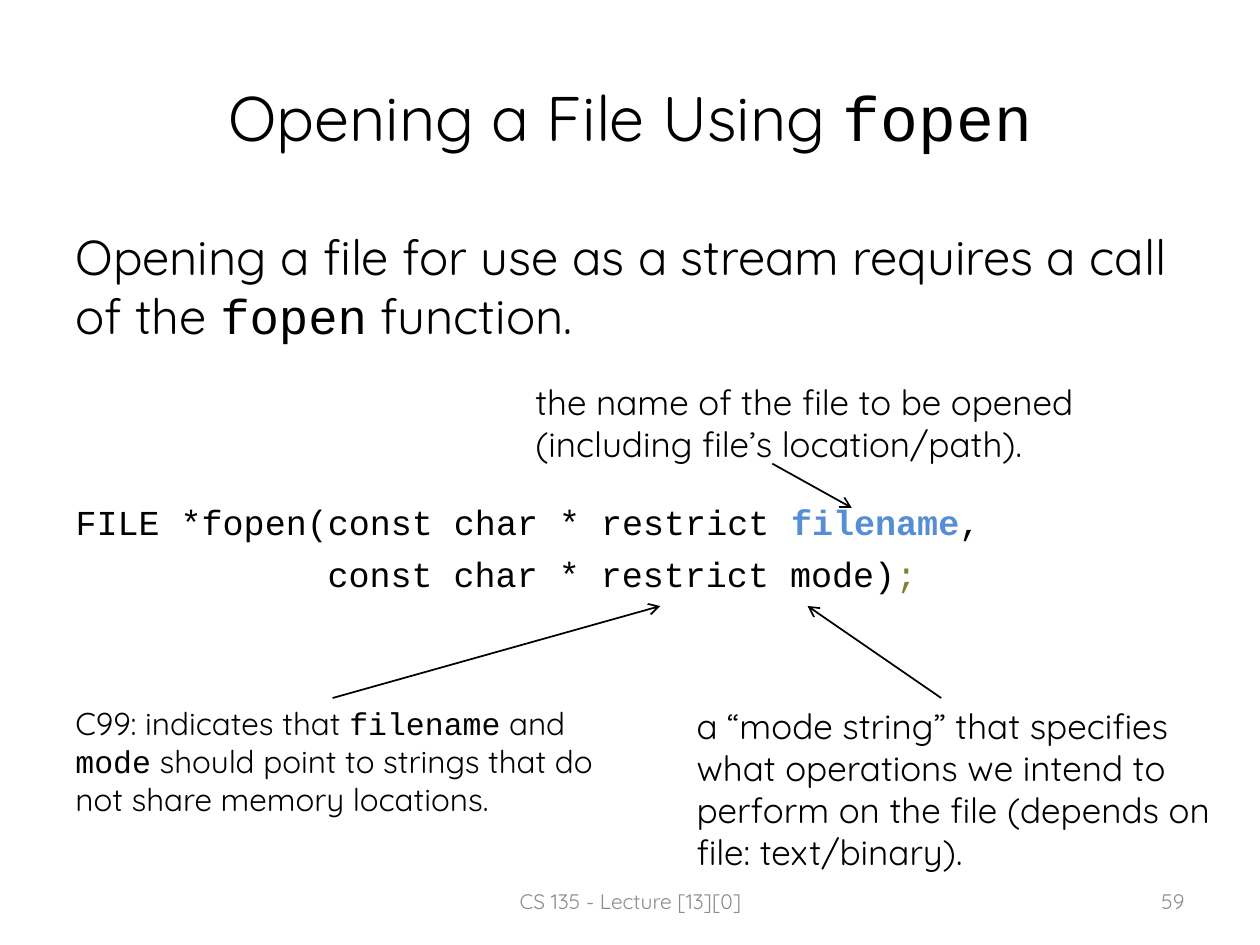
from dataclasses import dataclass

from lxml.etree import SubElement
from pptx import Presentation
from pptx.dml.color import RGBColor
from pptx.enum.shapes import MSO_CONNECTOR
from pptx.enum.text import MSO_ANCHOR, MSO_AUTO_SIZE, PP_ALIGN
from pptx.oxml.ns import qn
from pptx.util import Inches, Pt

BLACK = RGBColor(0x00, 0x00, 0x00)
GRAY = RGBColor(0x8C, 0x8C, 0x8C)
BLUE = RGBColor(0x55, 0x8E, 0xD5)
OLIVE = RGBColor(0x80, 0x80, 0x2F)
TEXT_FONT = "Quicksand"
CODE_FONT = "Courier New"
MARGIN = 0.5
NOTE_TOP = 5.54
FOOTER_TOP = 6.95


@dataclass
class Span:
    text: str
    font: str = TEXT_FONT
    color: RGBColor = BLACK
    bold: bool = False


def code(text: str, color: RGBColor = BLACK, bold: bool = False) -> Span:
    return Span(text, CODE_FONT, color, bold)


@dataclass
class TextBlock:
    left: float
    top: float
    width: float
    height: float
    size: int
    spans: list[Span]
    alignment: PP_ALIGN = PP_ALIGN.LEFT
    anchor: MSO_ANCHOR = MSO_ANCHOR.TOP


@dataclass
class Arrow:
    start: tuple[float, float]
    end: tuple[float, float]


@dataclass
class BodyLine:
    size: int
    spans: list[Span]
    space_before: float = 0
    indent: float = 0


TITLE = [Span("Opening a File Using "), code("fopen")]
BODY = [
    BodyLine(28, [Span("Opening a file for use as a stream requires a call of the "),
                  code("fopen"), Span(" function.")]),
    BodyLine(20, [code("FILE *fopen(const char * restrict "),
                  code("filename", BLUE, True), code(",")], space_before=89),
    BodyLine(20, [code("const char * restrict mode)"), code(";", OLIVE)],
             space_before=5.6, indent=2),
]
TEXT_BLOCKS = [
    TextBlock(4.15, 2.97, 5.2, 0.77, 20, [
        Span("the name of the file to be opened (including file’s location/path).")]),
    TextBlock(5.43, NOTE_TOP, 4.29, 1.45, 20, [
        Span("a “mode string” that specifies what operations we intend to "
             "perform on the file (depends on file: text/binary).")]),
    TextBlock(MARGIN, NOTE_TOP, 4.53, 1.01, 18, [
        Span("C99: indicates that "), code("filename"), Span(" and "), code("mode"),
        Span(" should point to strings that do not share memory locations.")]),
    TextBlock(3.42, FOOTER_TOP, 3.17, 0.4, 12, [Span("CS 135 - Lecture [13][0]", color=GRAY)],
              PP_ALIGN.CENTER, MSO_ANCHOR.MIDDLE),
    TextBlock(7.17, FOOTER_TOP, 2.33, 0.4, 12, [Span("59", color=GRAY)],
              PP_ALIGN.RIGHT, MSO_ANCHOR.MIDDLE),
]
ARROWS = [
    Arrow((6.13, 3.68), (6.76, 4.03)),
    Arrow((7.47, NOTE_TOP), (6.41, 4.81)),
    Arrow((2.64, NOTE_TOP), (5.24, 4.81)),
]


def place(shape, left: float, top: float, width: float, height: float) -> None:
    shape.left, shape.top = Inches(left), Inches(top)
    shape.width, shape.height = Inches(width), Inches(height)


def write_spans(paragraph, spans: list[Span], size: int) -> None:
    paragraph.font.size = Pt(size)
    for span in spans:
        run = paragraph.add_run()
        run.text = span.text
        run.font.name = span.font
        run.font.color.rgb = span.color
        run.font.bold = span.bold


def fill_title(title) -> None:
    place(title, MARGIN, 0.3, 9, 1.25)
    title.text_frame.vertical_anchor = MSO_ANCHOR.MIDDLE
    paragraph = title.text_frame.paragraphs[0]
    paragraph.alignment = PP_ALIGN.CENTER
    write_spans(paragraph, TITLE, 36)


def fill_body(body) -> None:
    place(body, MARGIN, 1.75, 9, 4.95)
    frame = body.text_frame
    frame.auto_size = MSO_AUTO_SIZE.NONE
    for index, line in enumerate(BODY):
        paragraph = frame.add_paragraph() if index else frame.paragraphs[0]
        paragraph.space_before = Pt(line.space_before)
        properties = paragraph._p.get_or_add_pPr()
        properties.set("marL", str(Inches(line.indent)))
        properties.set("indent", "0")
        SubElement(properties, qn("a:buNone"))
        write_spans(paragraph, line.spans, line.size)


def add_text_block(slide, block: TextBlock) -> None:
    shape = slide.shapes.add_textbox(Inches(block.left), Inches(block.top),
                                     Inches(block.width), Inches(block.height))
    frame = shape.text_frame
    frame.word_wrap = True
    frame.vertical_anchor = block.anchor
    paragraph = frame.paragraphs[0]
    paragraph.alignment = block.alignment
    write_spans(paragraph, block.spans, block.size)


def add_arrow(slide, arrow: Arrow) -> None:
    points = [Inches(value) for value in arrow.start + arrow.end]
    connector = slide.shapes.add_connector(MSO_CONNECTOR.STRAIGHT, *points)
    connector.line.color.rgb = BLACK
    connector.line.width = Pt(1)
    SubElement(connector.line._get_or_add_ln(), qn("a:tailEnd"), type="arrow")
    SubElement(connector._element.spPr, qn("a:effectLst"))


def main() -> None:
    presentation = Presentation()
    presentation.slide_width, presentation.slide_height = Inches(10), Inches(7.5)
    slide = presentation.slides.add_slide(presentation.slide_layouts[1])
    fill_title(slide.shapes.title)
    fill_body(slide.placeholders[1])
    for block in TEXT_BLOCKS:
        add_text_block(slide, block)
    for arrow in ARROWS:
        add_arrow(slide, arrow)
    presentation.save("out.pptx")


if __name__ == "__main__":
    main()
